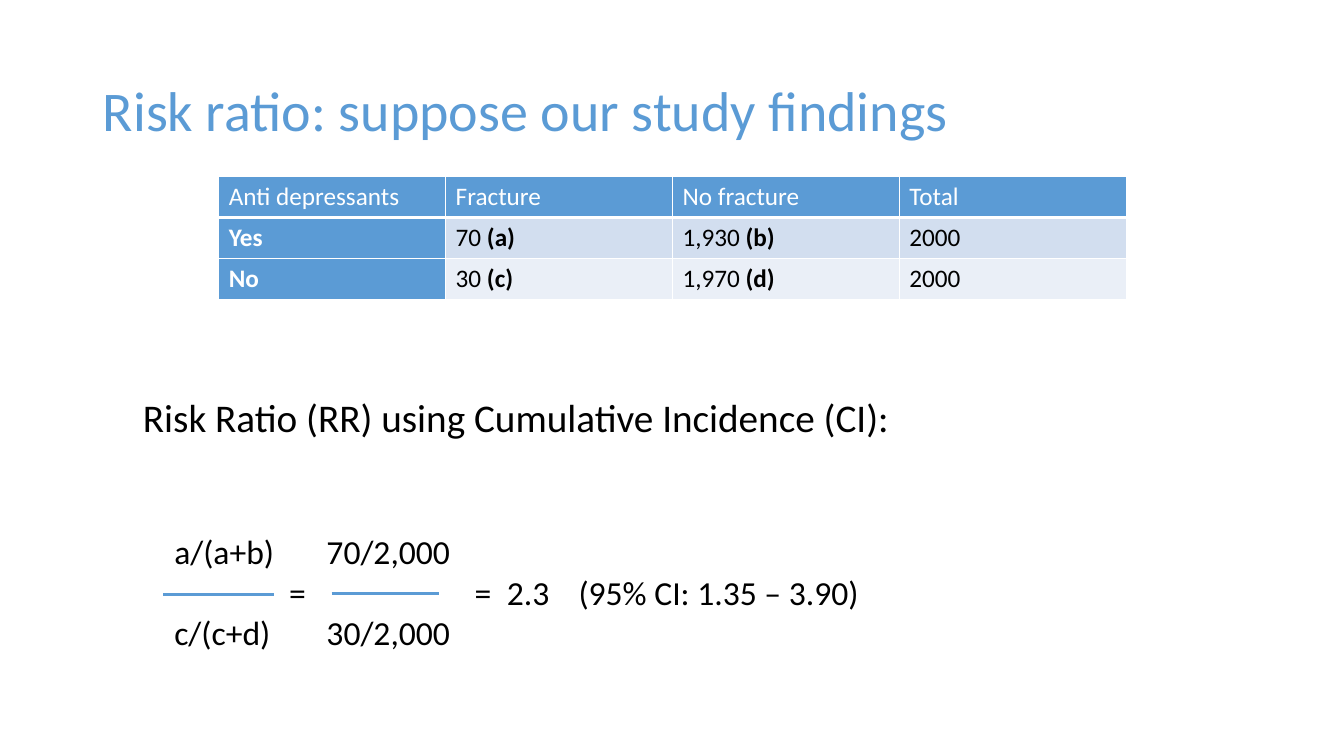
from lxml.etree import SubElement
from pptx import Presentation
from pptx.dml.color import RGBColor
from pptx.enum.shapes import MSO_CONNECTOR
from pptx.enum.text import MSO_ANCHOR, PP_ALIGN
from pptx.oxml.ns import qn
from pptx.util import Inches, Pt

# Content
TITLE = "Risk ratio: suppose our study findings"
HEADING = "Risk Ratio (RR) using Cumulative Incidence (CI):"
# Each cell is a plain part and a bold part
FINDINGS = [
    [("Anti depressants", ""), ("Fracture", ""), ("No fracture", ""), ("Total", "")],
    [("", "Yes"), ("70 ", "(a)"), ("1,930 ", "(b)"), ("2000", "")],
    [("", "No"), ("30 ", "(c)"), ("1,970 ", "(d)"), ("2000", "")],
]
# Formula lines with their tab stops in inches
FORMULA = [
    ("a/(a+b)\t70/2,000", [1.51]),
    ("\t=\t=\t2.3\t(95% CI: 1.35 – 3.90)", [1.14, 2.98, 3.3, 4.01]),
    ("c/(c+d)\t30/2,000", [1.51]),
]
# Fraction bars: left, right, height on the slide
FRACTION_BARS = [(1.62, 2.72, 5.9), (3.29, 4.35, 5.89)]

COLORS = {"accent": "5B9BD5", "white": "FFFFFF", "text": "000000"}
ROW_FILLS = [COLORS["accent"], "D2DEEF", "EAEFF7"]
FONT = "Calibri"
COLUMN_WIDTH, ROW_HEIGHT = 2.25, 1.22 / 3


def style(font, size, color, bold=False):
    font.name, font.size, font.bold = FONT, Pt(size), bold
    font.color.rgb = RGBColor.from_string(color)


def box(left, top, width, height):
    return [Inches(value) for value in (left, top, width, height)]


def add_text_box(slide, *place):
    text_frame = slide.shapes.add_textbox(*box(*place)).text_frame
    text_frame.word_wrap = True
    return text_frame


def add_borders(cell, bottom_width):
    properties = cell._tc.get_or_add_tcPr()
    sides = [("a:lnL", 1), ("a:lnR", 1), ("a:lnT", 1), ("a:lnB", bottom_width)]
    for position, (side, width) in enumerate(sides):
        line = SubElement(properties, qn(side), w=str(Pt(width)))
        fill = SubElement(line, qn("a:solidFill"))
        SubElement(fill, qn("a:srgbClr"), val=COLORS["white"])
        properties.insert(position, line)


def add_findings_table(slide):
    rows, columns = len(FINDINGS), len(FINDINGS[0])
    place = box(2.17, 1.75, COLUMN_WIDTH * columns, ROW_HEIGHT * rows)
    table = slide.shapes.add_table(rows, columns, *place).table
    for r, row in enumerate(FINDINGS):
        for c, parts in enumerate(row):
            cell = table.cell(r, c)
            is_label = r == 0 or c == 0
            cell.fill.solid()
            cell.fill.fore_color.rgb = RGBColor.from_string(ROW_FILLS[0 if is_label else r])
            add_borders(cell, 3 if r == 0 else 1)
            for text, bold in zip(parts, (False, True)):
                if text:
                    run = cell.text_frame.paragraphs[0].add_run()
                    run.text = text
                    style(run.font, 18, COLORS["white" if is_label else "text"], bold)


def add_formula(slide):
    text_frame = add_text_box(slide, 1.63, 5.22, 7.52, 1.32)
    for index, (text, stops) in enumerate(FORMULA):
        paragraph = text_frame.paragraphs[0] if index == 0 else text_frame.add_paragraph()
        paragraph.text = text
        tab_list = SubElement(paragraph._p.get_or_add_pPr(), qn("a:tabLst"))
        for stop in stops:
            SubElement(tab_list, qn("a:tab"), pos=str(Inches(stop)), algn="l")
        for run in paragraph.runs:
            style(run.font, 24, COLORS["text"])
    for left, right, height in FRACTION_BARS:
        bar = slide.shapes.add_connector(
            MSO_CONNECTOR.STRAIGHT, *box(left, height, right, height))
        bar.line.color.rgb = RGBColor.from_string(COLORS["accent"])
        bar.line.width = Pt(2.5)
        SubElement(bar._element.spPr, qn("a:effectLst"))


def main():
    presentation = Presentation()
    presentation.slide_width, presentation.slide_height = Inches(13.33), Inches(7.5)
    slide = presentation.slides.add_slide(presentation.slide_layouts[5])

    # Title
    title = slide.shapes.title
    title.left, title.top, title.width, title.height = box(0.92, 0.4, 11.5, 1.45)
    title.text_frame.text = TITLE
    title.text_frame.vertical_anchor = MSO_ANCHOR.MIDDLE
    paragraph = title.text_frame.paragraphs[0]
    paragraph.alignment, paragraph.line_spacing = PP_ALIGN.LEFT, 0.9
    style(paragraph.runs[0].font, 40, COLORS["accent"])

    # Study findings
    add_findings_table(slide)

    # Heading and risk ratio formula
    heading = add_text_box(slide, 0.82, 3.85, 9.13, 1.82)
    heading.text = HEADING
    heading.paragraphs[0]._p.get_or_add_pPr().set("marL", str(Inches(0.5)))
    style(heading.paragraphs[0].runs[0].font, 28, COLORS["text"])
    add_formula(slide)

    presentation.save("out.pptx")


if __name__ == "__main__":
    main()
